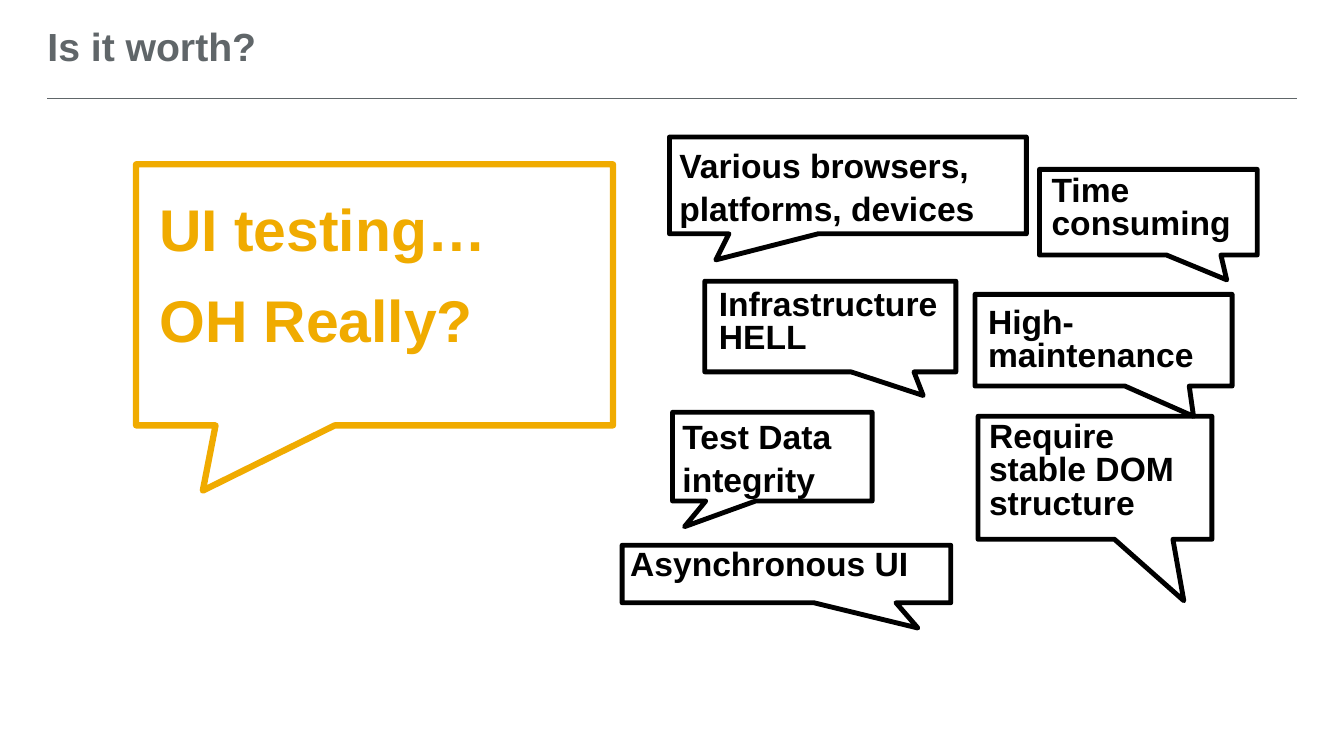
"""Build the slide on doubts about UI testing, with speech callouts."""
from dataclasses import dataclass
from typing import Optional

from lxml import etree
from pptx import Presentation
from pptx.dml.color import RGBColor
from pptx.enum.shapes import MSO_CONNECTOR, MSO_SHAPE
from pptx.enum.text import MSO_ANCHOR, MSO_AUTO_SIZE, PP_ALIGN
from pptx.oxml.ns import qn
from pptx.util import Emu, Pt

LINE = MSO_CONNECTOR.STRAIGHT
CALLOUT = MSO_SHAPE.RECTANGULAR_CALLOUT
MIDDLE, TOP = MSO_ANCHOR.MIDDLE, MSO_ANCHOR.TOP
LEFT = PP_ALIGN.LEFT
FIXED = MSO_AUTO_SIZE.NONE

SCALE = 9144
FONT = "Arial"
GREY, GOLD, BLACK = "606669", "F0AB00", "000000"
TIGHT, LOOSE = 0.83, 1.05

Box = tuple[int, int, int, int]


@dataclass
class Style:
    size: int
    color: str
    lead: float
    anchor: MSO_ANCHOR = TOP
    inset: tuple[int, int] = (0, 0)


@dataclass
class Bubble:
    text: str
    frame: Box
    tip: tuple[float, float]
    area: Optional[Box] = None
    color: str = BLACK
    weight: float = 3.5
    style: Optional[Style] = None


HEAD = Style(28, GREY, 0.9, MIDDLE)
CLAIM = Style(42, GOLD, LOOSE)
INNER = Style(24, BLACK, LOOSE, MIDDLE, (10, 8))
NOTE = Style(24, BLACK, TIGHT)

BUBBLES = [
    Bubble("UI testing…\nOH Really?", (135, 163, 473, 259), (-0.36, 0.75),
           (158, 188, 462, 96), GOLD, 4.5, CLAIM),
    Bubble("Various browsers, platforms, devices",
           (664, 136, 354, 96), (-0.37, 0.77), style=INNER),
    Bubble("Test Data integrity",
           (667, 409, 198, 88), (-0.44, 0.79), style=INNER),
    Bubble("Infrastructure HELL", (699, 279, 249, 90), (0.37, 0.76),
           (713, 287, 217, 88), style=NOTE),
    Bubble("Time consuming", (1031, 168, 216, 85), (0.36, 0.79),
           (1043, 174, 204, 92), style=NOTE),
    Bubble("Asynchronous UI", (617, 541, 326, 57), (0.4, 0.94),
           (625, 545, 326, 41), style=NOTE),
    Bubble("High-maintenance", (967, 292, 255, 91), (0.35, 0.83),
           (980, 305, 256, 85), style=NOTE),
    Bubble("Require stable DOM structure", (970, 413, 232, 122), (0.38, 1),
           (981, 418, 222, 85), style=NOTE),
]


def px(num: int) -> Emu:
    return Emu(num * SCALE)


def rgb(code: str) -> RGBColor:
    return RGBColor.from_string(code)


def write(shape, text: str, style: Style) -> None:
    frame = shape.text_frame
    frame.text = text
    frame.word_wrap = True
    frame.auto_size = FIXED
    frame.vertical_anchor = style.anchor
    side, edge = style.inset
    frame.margin_left = frame.margin_right = px(side)
    frame.margin_top = frame.margin_bottom = px(edge)
    for pos, para in enumerate(frame.paragraphs):
        para.alignment = LEFT
        para.line_spacing = style.lead
        para.space_before = Pt(12 if pos else 0)
        for run in para.runs:
            font = run.font
            font.name, font.size, font.bold = FONT, Pt(style.size), True
            font.color.rgb = rgb(style.color)


def title(slide, text: str, box: Box) -> None:
    shape = slide.shapes.title
    shape.left, shape.top, shape.width, shape.height = map(px, box)
    write(shape, text, HEAD)


def rule(slide, left: int, right: int, top: int) -> None:
    line = slide.shapes.add_connector(LINE, px(left), px(top), px(right), px(top))
    line.line.color.rgb = rgb(GREY)
    line.line.width = Pt(0.5)
    etree.SubElement(line._element.spPr, qn("a:effectLst"))


def bubble(slide, item: Bubble) -> None:
    shape = slide.shapes.add_shape(CALLOUT, *map(px, item.frame))
    shape.shadow.inherit = False
    shape.fill.background()
    shape.line.color.rgb = rgb(item.color)
    shape.line.width = Pt(item.weight)
    shape.adjustments[0], shape.adjustments[1] = item.tip
    if item.area:
        shape = slide.shapes.add_textbox(*map(px, item.area))
    write(shape, item.text, item.style)


def main() -> None:
    deck = Presentation()
    deck.slide_width, deck.slide_height = px(1333), px(750)
    slide = deck.slides.add_slide(deck.slide_layouts[5])
    rule(slide, 47, 1286, 98)
    title(slide, "Is it worth?", (47, 7, 1177, 83))
    for item in BUBBLES:
        bubble(slide, item)
    deck.save("out.pptx")


if __name__ == "__main__":
    main()
